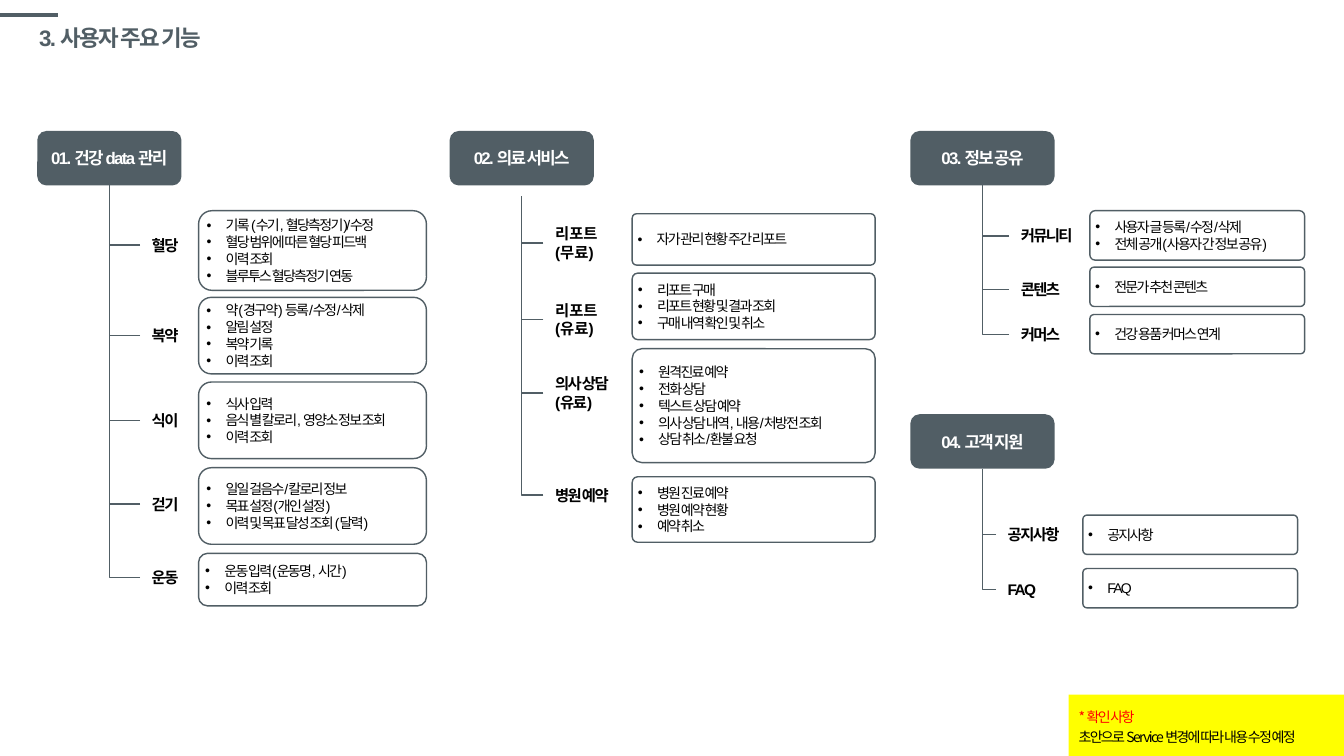
from dataclasses import dataclass

from lxml import etree
from pptx import Presentation
from pptx.dml.color import RGBColor
from pptx.enum.shapes import MSO_CONNECTOR, MSO_SHAPE
from pptx.enum.text import MSO_ANCHOR, PP_ALIGN
from pptx.oxml.ns import qn
from pptx.util import Inches, Pt

ROUNDED = MSO_SHAPE.ROUNDED_RECTANGLE
RECTANGLE = MSO_SHAPE.RECTANGLE
STRAIGHT = MSO_CONNECTOR.STRAIGHT
ELBOW = MSO_CONNECTOR.ELBOW
MIDDLE = MSO_ANCHOR.MIDDLE
LEFT = PP_ALIGN.LEFT
CENTER = PP_ALIGN.CENTER


@dataclass(frozen=True)
class Theme:
    """Colours, fonts and sizes of the slide."""
    slate: str = "515E65"
    white: str = "FFFFFF"
    black: str = "000000"
    red: str = "FF0000"
    yellow: str = "FFFF00"
    font: str = "Arial"
    korean: str = "Noto Sans CJK KR"
    title: int = 16
    header: int = 12
    label: int = 11
    body: int = 10
    tracking: int = -120


THEME = Theme()


@dataclass(frozen=True)
class Feature:
    """A label and its card; offsets run from the top of the section."""
    label: tuple
    label_middle: float
    card_top: float
    card_height: float
    items: tuple
    tracking: int = THEME.tracking


@dataclass(frozen=True)
class Section:
    """A header with its features; offsets run from the section's left and top."""
    title: str
    box: tuple
    trunk_top: float
    label_left: float
    label_width: float
    card_left: float
    radius: float
    features: tuple


HEADER_WIDTH, HEADER_HEIGHT, LABEL_HEIGHT = 1.43, 0.54, 0.34

SECTIONS = (
    Section("01. 건강 data 관리", (0.37, 1.3, 3.86), 0.54, 1.02, 0.5, 1.6, 0.167, (
        Feature(("혈당",), 1.13, 0.79, 0.79, (
            "기록 (수기, 혈당측정기)/수정", "혈당 범위에 따른 혈당 피드백",
            "이력 조회", "블루투스 혈당측정기 연동")),
        Feature(("복약",), 2.03, 1.65, 0.76, (
            "약(경구약) 등록/수정/삭제", "알림 설정", "복약 기록", "이력 조회")),
        Feature(("식이",), 2.87, 2.49, 0.76, (
            "식사 입력", "음식 별 칼로리, 영양소 정보 조회", "이력 조회")),
        Feature(("걷기",), 3.7, 3.34, 0.76, (
            "일일 걸음수/칼로리 정보", "목표 설정(개인 설정)", "이력 및 목표 달성 조회 (달력)")),
        Feature(("운동",), 4.43, 4.19, 0.52, ("운동 입력(운동명, 시간)", "이력 조회")),
    )),
    Section("02. 의료 서비스", (4.46, 1.3, 4.22), 0.65, 0.93, 0.72, 1.81, 0.085, (
        Feature(("리포트", "(무료)"), 1.11, 0.82, 0.51, ("자가 관리 현황 주간 리포트",), 0),
        Feature(("리포트", "(유료)"), 1.87, 1.41, 0.66, (
            "리포트 구매", "리포트 현황 및 결과 조회", "구매 내역 확인 및 취소"), 0),
        Feature(("의사 상담", "(유료)"), 2.6, 2.16, 1.13, (
            "원격진료 예약", "전화 상담", "텍스트 상담 예약",
            "의사 상담 내역, 내용/처방전 조회", "상담 취소/환불 요청")),
        Feature(("병원 예약",), 3.61, 3.43, 0.65, ("병원 진료 예약", "병원 예약 현황", "예약 취소")),
    )),
    Section("03. 정보 공유", (9.03, 1.3, 3.91), 0.54, 0.98, 0.72, 1.78, 0.104, (
        Feature(("커뮤니티",), 1.04, 0.79, 0.49, (
            "사용자 글 등록/수정/삭제", "전체 공개(사용자 간 정보 공유)")),
        Feature(("콘텐츠",), 1.57, 1.35, 0.39, ("전문가 추천 콘텐츠",)),
        Feature(("커머스",), 2.02, 1.82, 0.39, ("건강 용품 커머스 연계",)),
    )),
    Section("04. 고객 지원", (9.03, 4.11, 3.84), 0.54, 0.85, 0.72, 1.71, 0.104, (
        Feature(("공지사항",), 1.19, 1.0, 0.39, ("공지사항",)),
        Feature(("FAQ",), 1.74, 1.53, 0.39, ("FAQ",)),
    )),
)


def apply(target, values):
    """Set every attribute named in a dict of format values."""
    for name, value in values.items():
        setattr(target, name, value)


def add_bullet(para):
    """Give a paragraph a hanging round bullet."""
    properties = para._p.get_or_add_pPr()
    properties.set("marL", str(Inches(0.19)))
    properties.set("indent", str(-Inches(0.19)))
    etree.SubElement(properties, qn("a:buFont")).set("typeface", THEME.font)
    etree.SubElement(properties, qn("a:buChar")).set("char", "•")


def write(shape, lines, size, colors, bold=False, align=LEFT, tracking=THEME.tracking,
          wrap=False, bullets=False, spacing=None, font=THEME.font):
    """Fill a shape with one paragraph per line; colours are given per line."""
    frame = shape.text_frame
    apply(frame, {"word_wrap": wrap, "vertical_anchor": MIDDLE})
    if bullets:
        apply(frame, {"margin_left": Inches(0.04), "margin_right": Inches(0.04),
                      "margin_top": 0, "margin_bottom": 0})
    for index, (line, color) in enumerate(zip(lines, colors)):
        para = frame.add_paragraph() if index else frame.paragraphs[0]
        apply(para, {"alignment": align, "line_spacing": spacing})
        if bullets:
            add_bullet(para)
        span = para.add_run()
        span.text = line
        span.font.color.rgb = RGBColor.from_string(color)
        apply(span.font, {"size": Pt(size), "bold": bold, "name": font})
        properties = span._r.get_or_add_rPr()
        properties.set("spc", str(tracking))
        etree.SubElement(properties, qn("a:ea")).set("typeface", THEME.korean)


def add_block(page, kind, box, fill=None, line=None, radius=None):
    """Add a flat shape with an optional fill, outline and corner radius."""
    shape = page.shapes.add_shape(kind, *map(Inches, box))
    shape.shadow.inherit = False
    if radius:
        shape.adjustments[0] = radius
    if fill:
        shape.fill.solid()
        shape.fill.fore_color.rgb = RGBColor.from_string(fill)
    else:
        shape.fill.background()
    if line:
        shape.line.color.rgb = RGBColor.from_string(line)
        shape.line.width = Pt(1)
    else:
        shape.line.fill.background()
    return shape


def add_line(page, kind, ends, width):
    """Add a flat slate connector; an elbow has a single corner."""
    line = page.shapes.add_connector(kind, *map(Inches, ends))
    line.line.color.rgb = RGBColor.from_string(THEME.slate)
    line.line.width = Pt(width)
    properties = line._element.spPr
    if kind == ELBOW:
        properties.find(qn("a:prstGeom")).set("prst", "bentConnector2")
    etree.SubElement(properties, qn("a:effectLst"))


def draw_title(page, box):
    """Draw the accent rule and the slide title in the given box."""
    left, top, width, height = box
    add_line(page, STRAIGHT, (0, top - 0.04, left * 2, top - 0.04), 3)
    title = page.shapes.add_textbox(*map(Inches, box))
    write(title, ["3. 사용자 주요 기능"], THEME.title, [THEME.slate], bold=True, wrap=True, spacing=0.9)


def draw_section(page, section):
    """Draw a header, its branches, labels and cards in the section's box."""
    left, top, width = section.box
    header = add_block(page, ROUNDED, (left, top, HEADER_WIDTH, HEADER_HEIGHT), THEME.slate)
    write(header, [section.title], THEME.header, [THEME.white], bold=True, align=CENTER)
    trunk = left + HEADER_WIDTH / 2
    label_left = left + section.label_left
    for feature in section.features:
        middle = top + feature.label_middle
        add_line(page, ELBOW, (label_left, middle, trunk, top + section.trunk_top), 1)
        label = add_block(page, ROUNDED, (label_left, middle - LABEL_HEIGHT / 2,
                                          section.label_width, LABEL_HEIGHT))
        write(label, feature.label, THEME.label, [THEME.black] * len(feature.label),
              bold=True, tracking=feature.tracking)
        card = add_block(page, ROUNDED, (left + section.card_left, top + feature.card_top,
                                         width - section.card_left, feature.card_height),
                         line=THEME.slate, radius=section.radius)
        write(card, feature.items, THEME.body, [THEME.black] * len(feature.items), bullets=True)


def draw_note(page, box):
    """Draw the yellow review note in the given box."""
    note = add_block(page, RECTANGLE, box, THEME.yellow)
    write(note, ["* 확인 사항", "초안으로 Service 변경에 따라 내용 수정 예정"], THEME.body,
          [THEME.red, THEME.black], wrap=True, spacing=1.2, font=THEME.korean)


def main():
    """Build the slide and save it."""
    deck = Presentation()
    apply(deck, {"slide_width": Inches(13.33), "slide_height": Inches(7.5)})
    page = deck.slides.add_slide(deck.slide_layouts[6])
    draw_title(page, (0.29, 0.19, 11.5, 0.39))
    for section in SECTIONS:
        draw_section(page, section)
    draw_note(page, (10.6, 6.89, 2.73, 0.61))
    deck.save("out.pptx")


if __name__ == "__main__":
    main()
